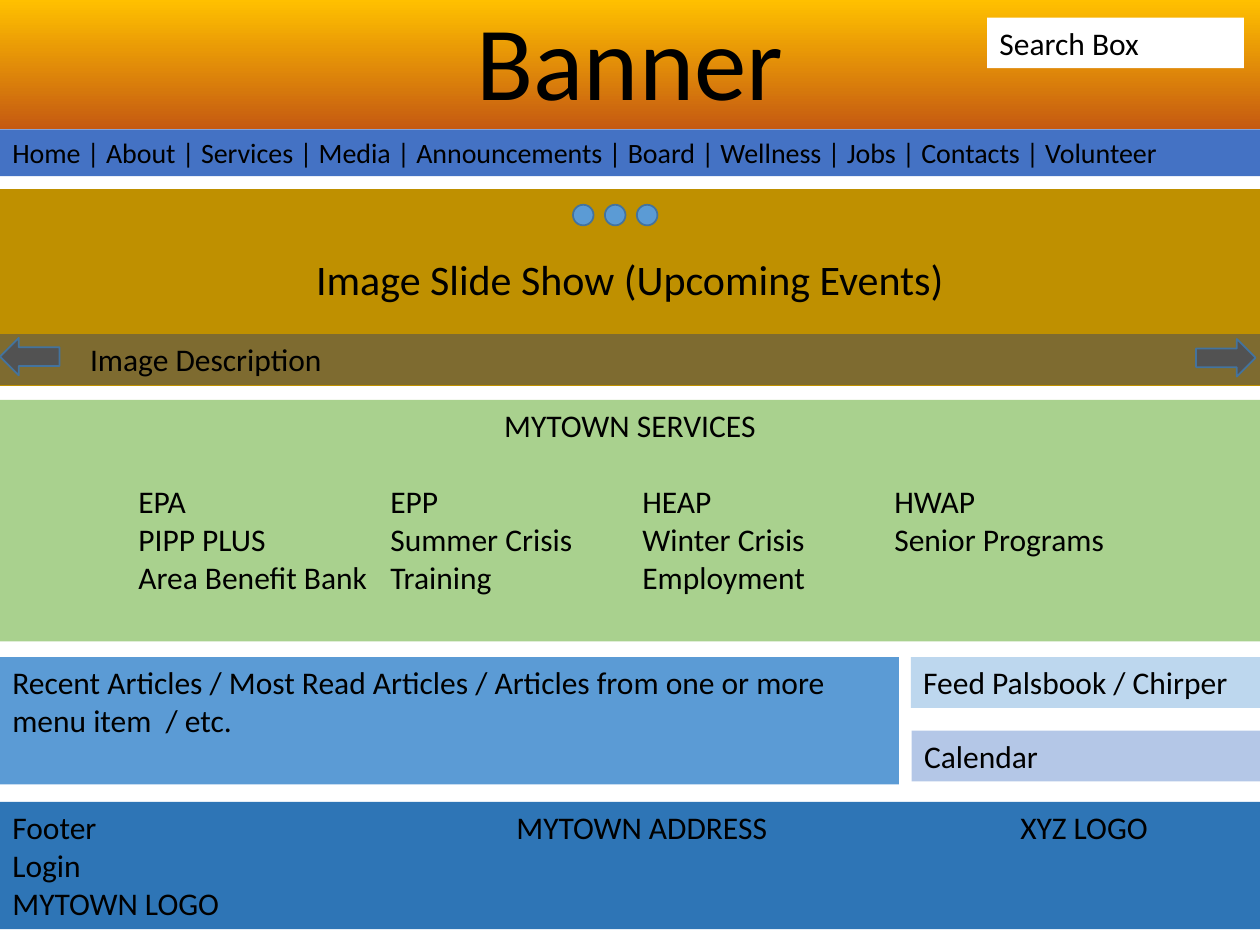
"""Build a one-slide wireframe of a community services home page."""
from lxml.etree import SubElement
from pptx import Presentation
from pptx.dml.color import RGBColor
from pptx.enum.shapes import MSO_SHAPE as SHAPE
from pptx.enum.text import MSO_ANCHOR as ANCHOR, PP_ALIGN as ALIGN
from pptx.oxml.ns import qn
from pptx.util import Pt

BLACK = RGBColor(0x00, 0x00, 0x00)
WHITE = RGBColor(0xFF, 0xFF, 0xFF)
GOLD = RGBColor(0xFF, 0xC0, 0x00)
RUST = RGBColor(0xC5, 0x5A, 0x11)
OCHRE = RGBColor(0xBF, 0x90, 0x00)
GRAY = RGBColor(0x52, 0x52, 0x52)
GREEN = RGBColor(0xA9, 0xD1, 0x8E)
INDIGO = RGBColor(0x44, 0x72, 0xC4)
BLUE = RGBColor(0x5B, 0x9B, 0xD5)
EDGE_BLUE = RGBColor(0x43, 0x73, 0x9E)
PALE_BLUE = RGBColor(0xBD, 0xD7, 0xEE)
LAVENDER = RGBColor(0xB4, 0xC7, 0xE7)
DEEP_BLUE = RGBColor(0x2E, 0x75, 0xB6)

PAGE_WIDTH = 720

prs = Presentation()
prs.slide_width, prs.slide_height = Pt(PAGE_WIDTH), Pt(540)
slide = prs.slides.add_slide(prs.slide_layouts[6])


def add_block(kind, left, top, width, height, color, edge=None):
    block = slide.shapes.add_shape(kind, Pt(left), Pt(top), Pt(width), Pt(height))
    block.shadow.inherit = False
    block.fill.solid()
    block.fill.fore_color.rgb = color
    if edge is None:
        block.line.fill.background()
    else:
        block.line.color.rgb = edge
        block.line.width = Pt(1)
    return block


def write_lines(block, lines, size=18, align=ALIGN.LEFT, anchor=ANCHOR.TOP, tabs=()):
    frame = block.text_frame
    frame.word_wrap = True
    frame.vertical_anchor = anchor
    for index, line in enumerate(lines):
        paragraph = frame.paragraphs[0] if index == 0 else frame.add_paragraph()
        paragraph.alignment = align
        if tabs:
            stops = SubElement(paragraph._p.get_or_add_pPr(), qn("a:tabLst"))
            for stop in tabs:
                SubElement(stops, qn("a:tab"), pos=str(Pt(stop)), algn="l")
        run = paragraph.add_run()
        run.text = line
        run.font.name = "Calibri"
        run.font.size = Pt(size)
        run.font.color.rgb = BLACK
    return frame.paragraphs


banner = add_block(SHAPE.RECTANGLE, 0, 0, PAGE_WIDTH, 73.75, GOLD)
banner.fill.gradient()
banner.fill.gradient_angle = 270
for stop, color in zip(banner.fill.gradient_stops, (GOLD, RUST)):
    stop.color.rgb = color
banner_lines = write_lines(banner, ["Banner"], 60, ALIGN.CENTER, ANCHOR.BOTTOM)
banner_lines[0].line_spacing = 0.9

slide_show = add_block(SHAPE.RECTANGLE, 0, 108, PAGE_WIDTH, 112.5, OCHRE)
slide_show.text_frame.margin_top = Pt(40)
show_lines = write_lines(slide_show, ["Image Slide Show (Upcoming Events)"], 24, ALIGN.CENTER)
show_lines[0].line_spacing = 0.9

search = add_block(SHAPE.RECTANGLE, 564, 10, 146.75, 29, WHITE)
write_lines(search, ["Search Box"])

menu_items = ["Home", "About", "Services", "Media", "Announcements",
              "Board", "Wellness", "Jobs", "Contacts", "Volunteer"]
menu = add_block(SHAPE.RECTANGLE, 0, 74, PAGE_WIDTH, 26.65, INDIGO)
write_lines(menu, [" | ".join(menu_items)], 16)

for dot in range(3):
    add_block(SHAPE.OVAL, 327.4 + 18.25 * dot, 117, 11.75, 11.75, BLUE, EDGE_BLUE)

description = add_block(SHAPE.RECTANGLE, 0, 191, PAGE_WIDTH, 29, GRAY)
SubElement(description.fill._xPr.find(".//" + qn("a:srgbClr")), qn("a:alpha"), val="59000")
description.text_frame.margin_left = Pt(51.5)
write_lines(description, ["Image Description"])

for left, top, turn in ((683.5, 193.75, 0), (0, 193, 180)):
    arrow = add_block(SHAPE.RIGHT_ARROW, left, top, 34, 21.5, GRAY, EDGE_BLUE)
    arrow.rotation = turn

services = add_block(SHAPE.RECTANGLE, 0, 228.5, PAGE_WIDTH, 138, GREEN)
service_lines = write_lines(services, [
    "MYTOWN SERVICES",
    "\tEPA\tEPP\tHEAP\tHWAP",
    "\tPIPP PLUS\tSummer Crisis\tWinter Crisis\tSenior Programs",
    "\tArea Benefit Bank\tTraining\tEmployment",
], tabs=(72, 216, 360, 504))
service_lines[0].alignment = ALIGN.CENTER
service_lines[1].space_before = Pt(22)

for left, top, width, height, color, text in (
    (0, 375.5, 513.75, 72.75, BLUE,
     "Recent Articles / Most Read Articles / Articles from one or more menu item  / etc."),
    (520.5, 375.5, 199.5, 29, PALE_BLUE, "Feed Palsbook / Chirper"),
    (521, 417.5, 199, 29, LAVENDER, "Calendar"),
):
    write_lines(add_block(SHAPE.RECTANGLE, left, top, width, height, color), [text])

footer = add_block(SHAPE.RECTANGLE, 0, 458.25, PAGE_WIDTH, 72.75, DEEP_BLUE)
write_lines(footer, ["Footer\tMYTOWN ADDRESS\tXYZ LOGO", "Login", "MYTOWN LOGO"],
            tabs=(288, 576))

prs.save("out.pptx")
